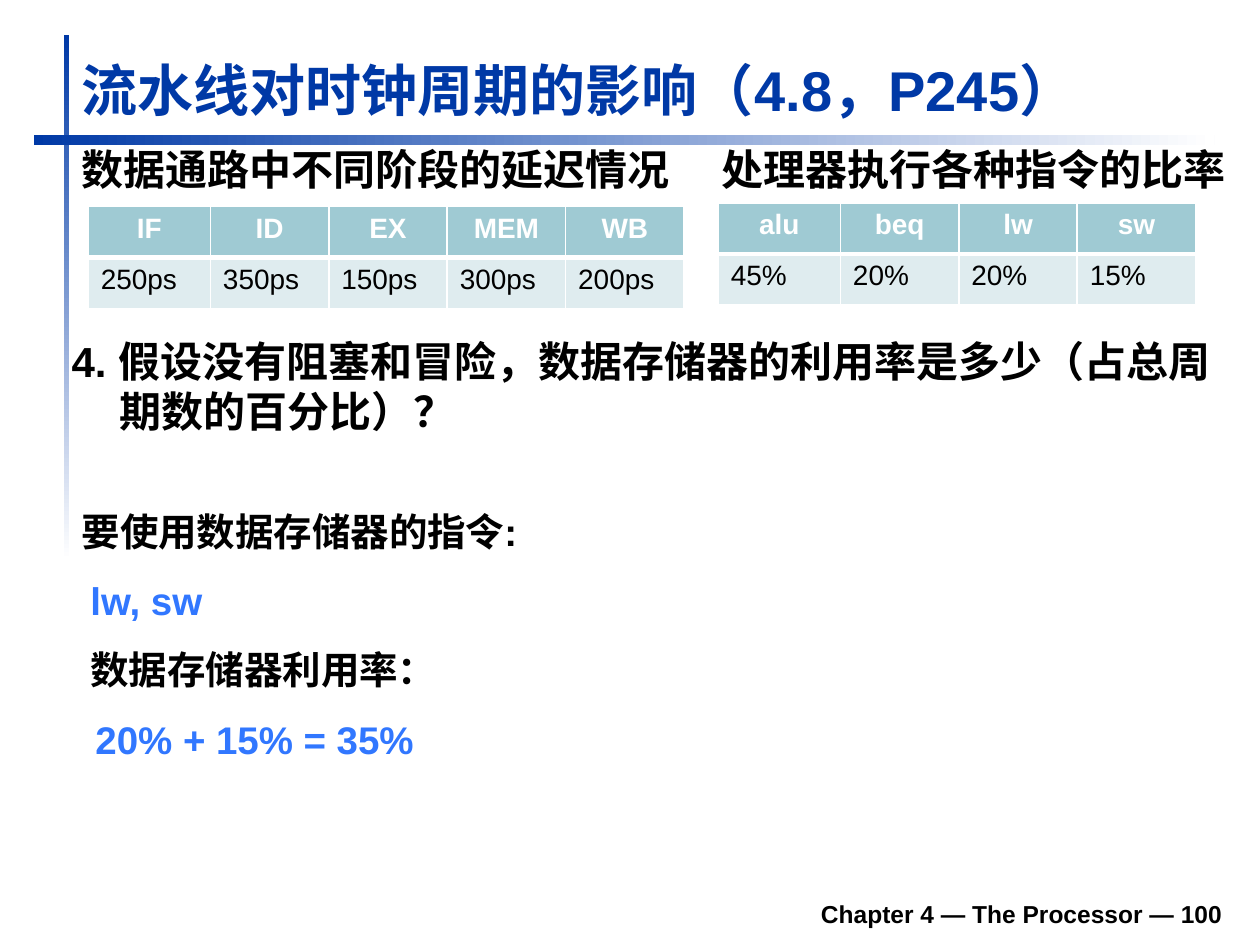
from lxml import etree
from pptx import Presentation, util as u
from pptx.dml.color import RGBColor
from pptx.enum import shapes, text
from pptx.oxml.ns import qn

COLORS = {"navy": "0039A6", "blue": "3177FF", "black": "000000",
          "white": "FFFFFF", "head": "9FCAD3", "body": "DFECEF"}
UNIT = 0.1  # the grid has 100 columns and 75 rows


def tint(name):
    return RGBColor.from_string(COLORS[name])


def grid(*cells):
    return [u.Inches(n * UNIT) for n in cells]


def write(frame, words, size=24, color="black", bold=True, align="LEFT",
          anchor="TOP", hang=0):
    """Fill a text frame with one paragraph; hang is in grid columns."""
    frame.word_wrap = True
    frame.vertical_anchor = getattr(text.MSO_ANCHOR, anchor)
    para = frame.paragraphs[0]
    para.alignment = getattr(text.PP_ALIGN, align)
    if hang:
        inset = u.Inches(hang * UNIT)
        props = para._p.get_or_add_pPr()
        props.set("marL", str(inset))
        props.set("indent", str(-inset))
    run = para.add_run()
    run.text = words
    font = run.font
    font.name, font.size, font.bold = "Arial", u.Pt(size), bold
    font.color.rgb = tint(color)


def edge(cell, **widths):
    """Draw white cell borders, widths in points, in schema order L, R, T, B."""
    props = cell._tc.get_or_add_tcPr()
    for side, width in widths.items():
        line = etree.SubElement(props, qn("a:ln" + side), w=str(u.Pt(width)))
        fill = etree.SubElement(line, qn("a:solidFill"))
        etree.SubElement(fill, qn("a:srgbClr"), val=COLORS["white"])


class Deck:
    def __init__(self):
        self.show = Presentation()
        self.show.slide_width, self.show.slide_height = grid(100, 75)
        self.slide = self.show.slides.add_slide(self.show.slide_layouts[6])

    def bar(self, place, angle):
        """Add a rule that fades from navy to white."""
        bar = self.slide.shapes.add_shape(
            shapes.MSO_SHAPE.RECTANGLE, *grid(*place))
        bar.shadow.inherit = False
        bar.line.fill.background()
        bar.fill.gradient()
        bar.fill.gradient_angle = angle
        for stop, spot, color in zip(bar.fill.gradient_stops, (0, 1),
                                     ("navy", "white")):
            stop.position = spot
            stop.color.rgb = tint(color)

    def label(self, place, words, **form):
        box = self.slide.shapes.add_textbox(*grid(*place))
        write(box.text_frame, words, **form)

    def table(self, left, top, data, first=9.7, rest=9.4, high=4.05):
        wide = [first] + [rest] * (len(data) - 1)
        table = self.slide.shapes.add_table(
            2, len(data), *grid(left, top, sum(wide), 2 * high)).table
        for col, width in zip(table.columns, grid(*wide)):
            col.width = width
        for col, (name, value) in enumerate(data.items()):
            head, body = table.cell(0, col), table.cell(1, col)
            edge(head, L=1, R=1, T=1, B=3)
            edge(body, L=1, R=1, B=1)
            write(head.text_frame, name, size=16, color="white",
                  align="CENTER")
            write(body.text_frame, value, size=16, bold=False)
            for cell, color in ((head, "head"), (body, "body")):
                cell.fill.solid()
                cell.fill.fore_color.rgb = tint(color)


def main():
    deck = Deck()
    deck.bar((5.1, 2.8, 0.4, 41.7), 270)
    deck.bar((2.7, 10.7, 93.7, 0.8), 0)
    deck.label((5.5, 3.8, 90.3, 6.4), "流水线对时钟周期的影响（4.8，P245）",
               size=32, color="navy", anchor="BOTTOM")
    deck.label((18.5, 70.3, 79.5, 3.9), "Chapter 4 — The Processor — 100",
               size=14, align="RIGHT", anchor="BOTTOM")

    deck.label((5.5, 10.9, 51.1, 6.3), "数据通路中不同阶段的延迟情况", hang=3.8)
    deck.table(7, 16.4, {"IF": "250ps", "ID": "350ps", "EX": "150ps",
                         "MEM": "300ps", "WB": "200ps"})
    deck.label((56.3, 10.9, 43.7, 6.3), "处理器执行各种指令的比率", hang=3.8)
    deck.table(57, 16.1, {"alu": "45%", "beq": "20%",
                          "lw": "20%", "sw": "15%"})

    deck.label((4.7, 26.1, 92.6, 9.9),
               "4. 假设没有阻塞和冒险，数据存储器的利用率是多少"
               "（占总周期数的百分比）？", hang=3.8)
    steps = [(5.5, "要使用数据存储器的指令:", "black"),
             (6.2, "lw, sw", "blue"),
             (6.2, "数据存储器利用率：", "black"),
             (6.6, "20% + 15% = 35%", "blue")]
    for row, (left, words, color) in enumerate(steps):
        deck.label((left, 39.8 + 5.5 * row, 92.6, 5.5), words,
                   size=22, color=color, hang=3.8)
    deck.show.save("out.pptx")


if __name__ == "__main__":
    main()
